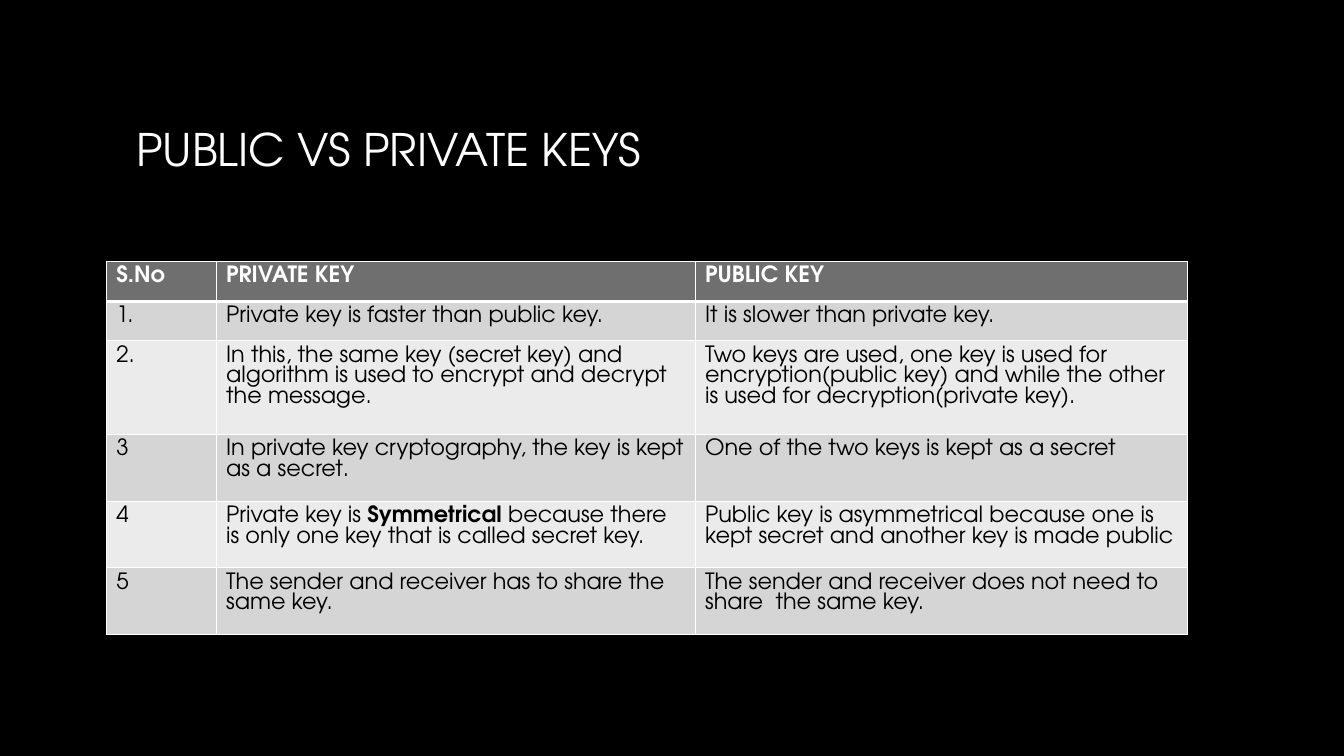
from dataclasses import dataclass

from lxml import etree
from pptx import Presentation
from pptx.dml.color import RGBColor
from pptx.enum import text
from pptx.oxml import parse_xml
from pptx.oxml.ns import nsdecls, qn
from pptx.util import Cm, Pt


@dataclass(frozen=True)
class Theme:
    font: str = "TeX Gyre Adventor"
    title_size: int = 32
    table_size: int = 16
    background: str = "000000"
    title_top: str = "FFFFFF"
    title_bottom: str = "A6A6A6"
    header_fill: str = "6F6F6F"
    header_text: str = "FFFFFF"
    body_text: str = "000000"
    odd_row: str = "D5D5D5"
    even_row: str = "EBEBEB"
    border: str = "FFFFFF"


def add_borders(cell, bottom_width):
    """Draw 1 pt cell edges, with a bottom edge of its own width."""
    properties = cell._tc.get_or_add_tcPr()
    for side, width in (("lnL", 1), ("lnR", 1), ("lnT", 1), ("lnB", bottom_width)):
        edge = etree.SubElement(properties, qn(f"a:{side}"), w=str(Pt(width)))
        fill = etree.SubElement(edge, qn("a:solidFill"))
        etree.SubElement(fill, qn("a:srgbClr"), val=theme.border)


theme = Theme()
prs = Presentation()
prs.slide_width, prs.slide_height = Cm(33.87), Cm(19.05)
slide = prs.slides.add_slide(prs.slide_layouts[5])
slide.background.fill.solid()
slide.background.fill.fore_color.rgb = RGBColor.from_string(theme.background)

# Title with a light gradient and a soft shadow
title = slide.shapes.title
title.left, title.top, title.width, title.height = Cm(3.18), Cm(1.7), Cm(27.51), Cm(4.09)
title.text_frame.text = "PUBLIC VS PRIVATE KEYS"
title.text_frame.vertical_anchor = text.MSO_ANCHOR.MIDDLE
heading = title.text_frame.paragraphs[0]
heading.alignment = text.PP_ALIGN.LEFT
heading_run = heading.runs[0]
heading_run.font.name = theme.font
heading_run.font.size = Pt(theme.title_size)
gradient = heading_run.font.fill
gradient.gradient()
gradient.gradient_angle = 267
for stop, colour in zip(gradient.gradient_stops, (theme.title_top, theme.title_bottom)):
    stop.color.rgb = RGBColor.from_string(colour)
shadow = parse_xml(
    f'<a:effectLst {nsdecls("a")}><a:outerShdw blurRad="50800" dist="38100" dir="2700000">'
    '<a:srgbClr val="000000"><a:alpha val="40000"/></a:srgbClr></a:outerShdw></a:effectLst>'
)
heading_run._r.get_or_add_rPr().find(qn("a:gradFill")).addnext(shadow)

# Comparison table; asterisks enclose bold words
comparison = [
    ("S.No", "PRIVATE KEY", "PUBLIC KEY"),
    ("1.", "Private key is faster than public key.", "It is slower than private key."),
    ("2.", "In this, the same key (secret key) and algorithm is used to encrypt and decrypt the message.",
     "Two keys are used, one key is used for encryption(public key) and while the other "
     "is used for decryption(private key)."),
    ("3", "In private key cryptography, the key is kept as a secret.",
     "One of the two keys is kept as a secret"),
    ("4", "Private key is *Symmetrical* because there is only one key that is called secret key.",
     "Public key is asymmetrical because one is kept secret and another key is made public"),
    ("5", "The sender and receiver has to share the same key.",
     "The sender and receiver does not need to share  the same key."),
]
column_widths = (2.77, 12.07, 12.4)
row_heights = (1.02, 0.99, 2.36, 1.68, 1.68, 1.68)

keys_table = slide.shapes.add_table(
    len(row_heights), len(column_widths), Cm(2.69), Cm(6.58),
    Cm(sum(column_widths)), Cm(sum(row_heights)),
).table
for column, width in zip(keys_table.columns, column_widths):
    column.width = Cm(width)

for row_number, (row, height, entries) in enumerate(zip(keys_table.rows, row_heights, comparison)):
    row.height = Cm(height)
    is_header = row_number == 0
    if is_header:
        row_fill, text_colour = theme.header_fill, theme.header_text
    else:
        row_fill = theme.odd_row if row_number % 2 else theme.even_row
        text_colour = theme.body_text
    for cell, entry in zip(row.cells, entries):
        add_borders(cell, 3 if is_header else 1)
        cell.fill.solid()
        cell.fill.fore_color.rgb = RGBColor.from_string(row_fill)
        cell.margin_left = cell.margin_right = Cm(0.24)
        cell.margin_top = cell.margin_bottom = Cm(0.12)
        paragraph = cell.text_frame.paragraphs[0]
        for part_number, part in enumerate(entry.split("*")):
            run = paragraph.add_run()
            run.text = part
            run.font.name = theme.font
            run.font.size = Pt(theme.table_size)
            run.font.bold = is_header or part_number % 2 == 1
            run.font.color.rgb = RGBColor.from_string(text_colour)

prs.save("out.pptx")
